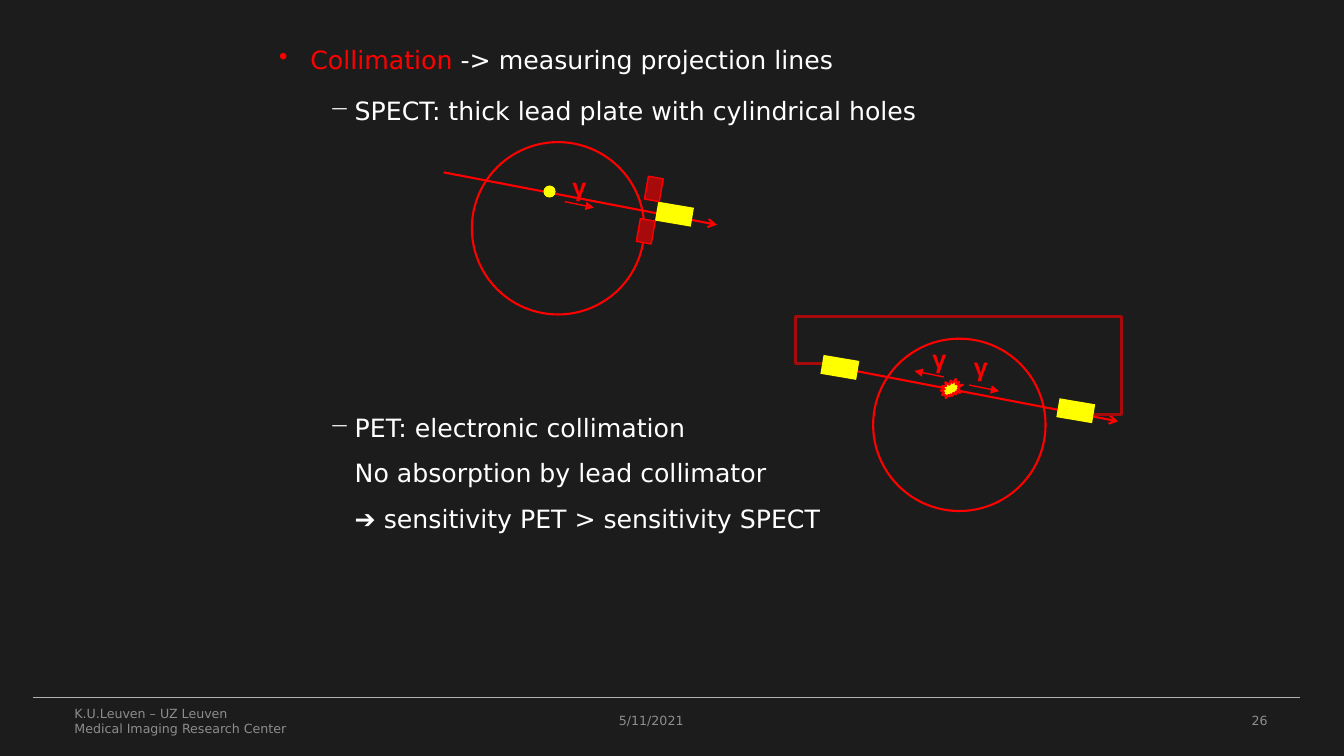
from lxml import etree
from pptx import Presentation
from pptx.dml.color import RGBColor
from pptx.enum.shapes import MSO_CONNECTOR, MSO_SHAPE
from pptx.enum.text import MSO_ANCHOR, PP_ALIGN
from pptx.oxml.ns import qn
from pptx.util import Inches, Pt

OVAL, RECT, BURST = MSO_SHAPE.OVAL, MSO_SHAPE.RECTANGLE, MSO_SHAPE.EXPLOSION2
STRAIGHT = MSO_CONNECTOR.STRAIGHT
TOP, MIDDLE = MSO_ANCHOR.TOP, MSO_ANCHOR.MIDDLE
LEFT, RIGHT = PP_ALIGN.LEFT, PP_ALIGN.RIGHT

RED, DARK_RED, YELLOW = "FF0000", "A60A0A", "FFFF00"
WHITE, GREY, RULE_GREY, BACKGROUND = "FFFFFF", "8D8D8D", "B2B2B2", "1C1C1C"
SANS, ARIAL = "DejaVu Sans", "Arial"

HEADING = [("Collimation ", RED, SANS), ("-> measuring projection lines", WHITE, SANS)]
SPECT = [("SPECT: thick lead plate with cylindrical holes", WHITE, SANS)]
PET = [
    ("PET: electronic collimation\vNo absorption by lead collimator\v", WHITE, SANS),
    ("➔", WHITE, ARIAL),
    (" sensitivity PET > sensitivity SPECT", WHITE, SANS),
]
TOP_LEVEL = {"bullet": "•", "margin": 0.81, "indent": -0.31}
SUB_LEVEL = {"bullet": "−", "margin": 1.25, "indent": -0.25, "spacing": 1.5}
BODY = [
    ((2.17, 0.39, 9, 1), [(HEADING, TOP_LEVEL), (SPECT, SUB_LEVEL)]),
    ((2.17, 3.89, 9, 1.6), [(PET, SUB_LEVEL)]),
]
FOOTERS = [
    ((0.64, 6.95, 4.22, 0.4), ["K.U.Leuven – UZ Leuven", "Medical Imaging Research Center"], LEFT),
    ((6.04, 6.95, 3.11, 0.4), ["5/11/2021"], LEFT),
    ((9.56, 6.95, 3.11, 0.4), ["26"], RIGHT),
]
SCANNERS = [(4.68, 1.41), (8.66, 3.36)]
PHOTONS = [
    ((5.58, 1.65), (5.6, 2), (5.89, 2.06)),
    ((9.56, 3.44), (9.61, 3.82), (9.91, 3.88)),
    ((9.15, 3.36), (9.36, 3.74), (9.07, 3.68)),
]
LEAD_PLATES = [(6.41, 1.76), (6.33, 2.18)]
COINCIDENCE_WIRE = [(8.15, 3.61), (7.89, 3.61), (7.89, 3.14),
                    (11.12, 3.14), (11.12, 4.11), (10.85, 4.11)]


def color(value):
    return RGBColor.from_string(value)


def style(shape, fill=None, line=None, width=1.5, rotation=0):
    shape.shadow.inherit = False
    shape.rotation = rotation
    if fill:
        shape.fill.solid()
        shape.fill.fore_color.rgb = color(fill)
    else:
        shape.fill.background()
    if line:
        shape.line.color.rgb = color(line)
        shape.line.width = Pt(width)
    else:
        shape.line.fill.background()


def add_shape(page, kind, area, **look):
    style(page.shapes.add_shape(kind, *map(Inches, area)), **look)


def add_line(page, start, end, line=RED, width=1.5, arrow=None):
    connector = page.shapes.add_connector(STRAIGHT, *map(Inches, start + end))
    connector.line.color.rgb = color(line)
    connector.line.width = Pt(width)
    if arrow:
        etree.SubElement(connector.line._get_or_add_ln(), qn("a:tailEnd"), type=arrow)
    etree.SubElement(connector._element.spPr, qn("a:effectLst"))


def add_text(page, area, paragraphs, size=18, bold=False, align=LEFT, anchor=TOP, wrap=True):
    box = page.shapes.add_textbox(*map(Inches, area))
    frame = box.text_frame
    frame.word_wrap = wrap
    frame.vertical_anchor = anchor
    for index, (spans, level) in enumerate(paragraphs):
        para = frame.add_paragraph() if index else frame.paragraphs[0]
        para.alignment = align
        if index and level:
            para.space_before = Pt(4)
        if level:
            para.line_spacing = level.get("spacing", 1.0)
            properties = para._p.get_or_add_pPr()
            properties.set("marL", str(Inches(level["margin"])))
            properties.set("indent", str(Inches(level["indent"])))
            etree.SubElement(properties, qn("a:buChar"), char=level["bullet"])
        for text, ink, font in spans:
            for number, piece in enumerate(text.split("\v")):
                if number:
                    para.add_line_break()
                if piece:
                    span = para.add_run()
                    span.text = piece
                    span.font.name = font
                    span.font.size = Pt(size)
                    span.font.bold = bold
                    span.font.color.rgb = color(ink)


def add_detector(page, left, top):
    add_shape(page, RECT, (left, top, 0.36, 0.19), fill=YELLOW, rotation=9.6)


def add_scanner(page, left, top):
    add_shape(page, OVAL, (left, top, 1.71, 1.71), line=RED)
    add_line(page, (left - 0.28, top + 0.3), (left + 2.43, top + 0.82), arrow="arrow")
    add_detector(page, left + 1.83, top + 0.62)


def add_wire(page, points):
    corners = [(Inches(x), Inches(y)) for x, y in points]
    builder = page.shapes.build_freeform(*corners[0])
    builder.add_line_segments(corners[1:], close=False)
    style(builder.convert_to_shape(), line=DARK_RED, width=2.25)


def main():
    deck = Presentation()
    deck.slide_width, deck.slide_height = Inches(13.33), Inches(7.5)
    page = deck.slides.add_slide(deck.slide_layouts[6])
    page.background.fill.solid()
    page.background.fill.fore_color.rgb = color(BACKGROUND)

    add_line(page, (0.33, 6.92), (12.89, 6.92), line=RULE_GREY, width=0.75)
    for area, paragraphs in BODY:
        add_text(page, area, paragraphs)
    for area, lines, align in FOOTERS:
        paragraphs = [([(text, GREY, SANS)], None) for text in lines]
        add_text(page, area, paragraphs, size=9, align=align, anchor=MIDDLE)

    for left, top in SCANNERS:
        add_scanner(page, left, top)
    add_detector(page, 8.15, 3.55)
    for label, start, end in PHOTONS:
        add_text(page, label + (0.3, 0.4), [([("γ", RED, ARIAL)], None)], bold=True, wrap=False)
        add_line(page, start, end, width=1, arrow="triangle")
    add_shape(page, OVAL, (5.39, 1.84, 0.12, 0.12), fill=YELLOW)
    add_shape(page, BURST, (9.33, 3.76, 0.22, 0.19), fill=YELLOW, line=RED)
    for left, top in LEAD_PLATES:
        add_shape(page, RECT, (left, top, 0.15, 0.23), fill=DARK_RED, line=RED, width=1, rotation=10)
    add_wire(page, COINCIDENCE_WIRE)
    deck.save("out.pptx")


if __name__ == "__main__":
    main()
